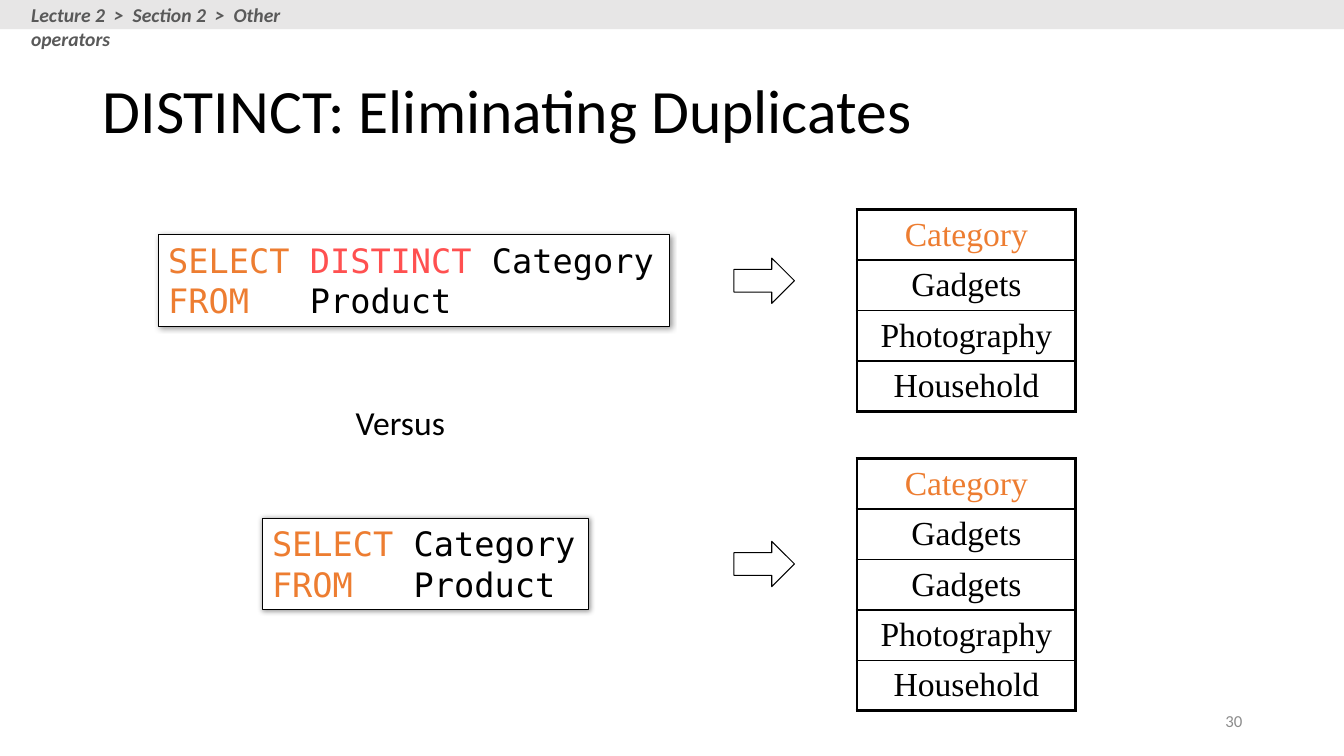
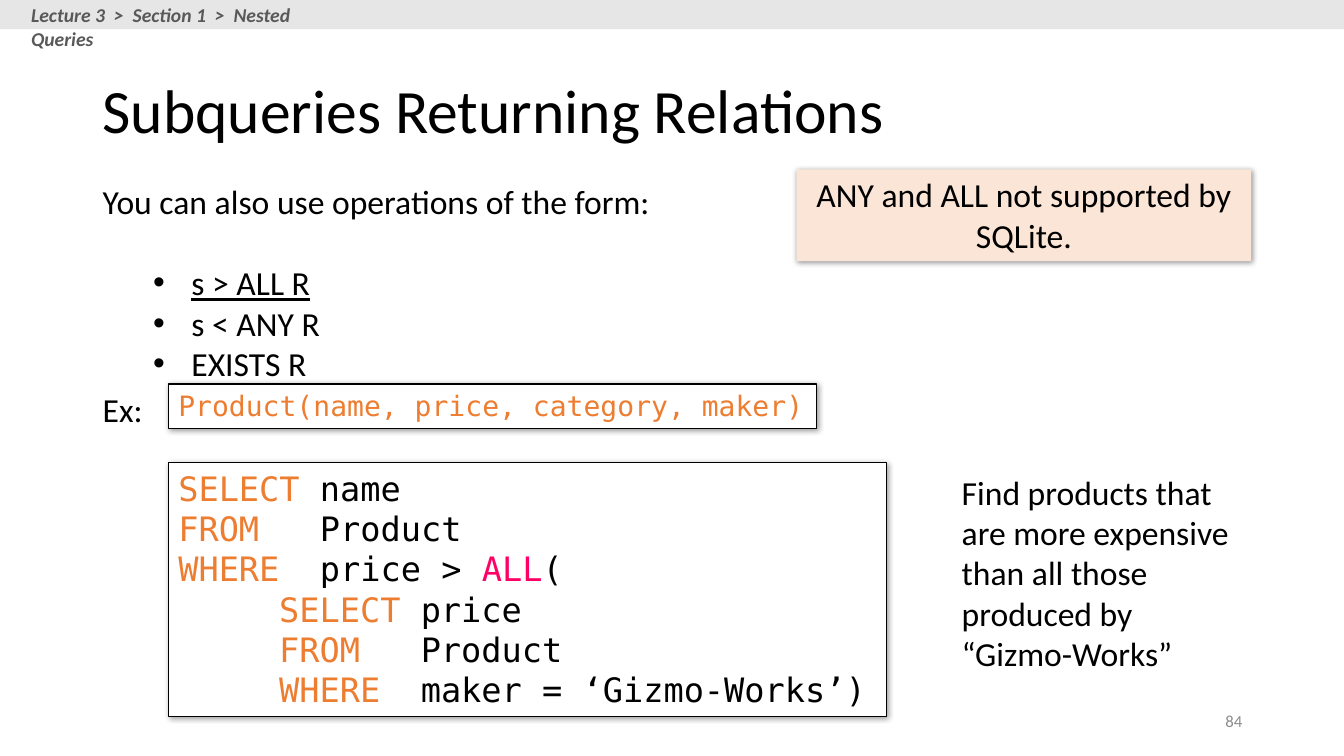
from dataclasses import dataclass

from lxml import etree
from pptx import Presentation
from pptx.dml.color import RGBColor
from pptx.enum import shapes, text
from pptx.oxml import ns
from pptx.util import Inches, Pt


@dataclass(frozen=True)
class Theme:
    ink: str = "000000"
    paper: str = "FFFFFF"
    keyword: str = "ED7D31"
    distinct: str = "FF5050"
    quantifier: str = "FF0066"
    band: str = "E7E6E6"
    crumb: str = "595959"
    number: str = "8C8C8C"
    note: str = "FBE5D6"
    sans: str = "Calibri"
    mono: str = "DejaVu Sans Mono"
    serif: str = "Times New Roman"
    title_size: int = 44
    body_size: int = 24
    schema_size: int = 20
    crumb_size: int = 14
    number_size: int = 12
    thin: float = 0.75
    inner: float = 1
    outer: float = 2.25


T = Theme()
K = T.keyword

DISTINCT = {
    "title": "DISTINCT: Eliminating Duplicates",
    "crumb": "Lecture 2  >  Section 2  >  Other operators",
    "number": "30",
    "versus": "Versus",
    "cases": [
        {
            "code_at": (1.57, 2.33, 5.07, 0.91),
            "code": [[("SELECT ", K), ("DISTINCT ", T.distinct), "Category"],
                     [("FROM   ", K), "Product"]],
            "arrow_top": 2.56,
            "table_top": 2.08,
            "rows": ["Category", "Gadgets", "Photography", "Household"],
        },
        {
            "code_at": (2.6, 5.14, 3.24, 0.91),
            "code": [[("SELECT", K), " Category"],
                     [("FROM   ", K), "Product"]],
            "arrow_top": 5.37,
            "table_top": 4.55,
            "rows": ["Category", "Gadgets", "Gadgets", "Photography", "Household"],
        },
    ],
}

SUBQUERIES = {
    "title": "Subqueries Returning Relations",
    "crumb": "Lecture 3  >  Section 1  >  Nested Queries",
    "number": "84",
    "intro": "You can also use operations of the form:",
    "forms": ["s > ALL R", "s < ANY R", "EXISTS R"],
    "note": "ANY and ALL not supported by SQLite.",
    "example": "Ex:",
    "schema": "Product(name, price, category, maker)",
    "outer": [[("SELECT", K), " name"],
              [("FROM", K), "   Product"],
              [("WHERE  ", K), "price > ", ("ALL", T.quantifier), "("]],
    "inner": [[("SELECT ", K), "price"],
              [("FROM   ", K), "Product"],
              [("WHERE", K), "  maker = ‘Gizmo-Works’)"]],
    "meaning": "Find products that are more expensive than all those "
               "produced by “Gizmo-Works”",
}


def rgb(value):
    return RGBColor.from_string(value)


def add_xml(parent, tag, **attrs):
    return etree.SubElement(parent, ns.qn(tag), {k: str(v) for k, v in attrs.items()})


def style(r, size=T.body_size, font=T.sans, color=T.ink):
    r.font.size = Pt(size)
    r.font.name = font
    r.font.color.rgb = rgb(color)


def write(sp, lines, size=T.body_size, font=T.sans, color=T.ink, wrap=True,
          anchor=text.MSO_ANCHOR.TOP, align=text.PP_ALIGN.LEFT):
    tf = sp.text_frame
    tf.word_wrap = wrap
    tf.vertical_anchor = anchor
    if not wrap:
        tf.auto_size = text.MSO_AUTO_SIZE.SHAPE_TO_FIT_TEXT
    for i, runs in enumerate(lines):
        p = tf.paragraphs[0] if i == 0 else tf.add_paragraph()
        p.alignment = align
        for run in runs:
            words, run_color = (run, color) if isinstance(run, str) else run
            r = p.add_run()
            r.text = words
            style(r, size, font, run_color)
    return tf.paragraphs


def add_text(s, at, words, **options):
    sp = s.shapes.add_textbox(*map(Inches, at))
    return write(sp, [[words]], **options)


def add_box(s, kind, at, fill=None, line=None, shadow=False):
    sp = s.shapes.add_shape(kind, *map(Inches, at))
    sp.shadow.inherit = False
    if fill:
        sp.fill.solid()
        sp.fill.fore_color.rgb = rgb(fill)
    else:
        sp.fill.background()
    if line:
        sp.line.color.rgb = rgb(line)
        sp.line.width = Pt(T.thin)
    else:
        sp.line.fill.background()
    if shadow:
        effects = sp._element.spPr.find(ns.qn("a:effectLst"))
        outer = add_xml(effects, "a:outerShdw", blurRad=Pt(4), dist=Pt(1),
                        dir=45 * 60000, algn="tl", rotWithShape=0)
        color = add_xml(outer, "a:srgbClr", val=T.ink)
        add_xml(color, "a:alpha", val=40000)
    return sp


def add_code(s, at, lines, **options):
    sp = add_box(s, shapes.MSO_SHAPE.RECTANGLE, at, T.paper, T.ink, shadow=True)
    return write(sp, lines, font=T.mono, wrap=False, **options)


def set_borders(cell, widths):
    props = cell._tc.get_or_add_tcPr()
    for position, (side, width) in enumerate(widths.items()):
        line = etree.Element(ns.qn(f"a:{side}"), w=str(Pt(width)))
        fill = add_xml(line, "a:solidFill")
        add_xml(fill, "a:srgbClr", val=T.ink)
        props.insert(position, line)


def add_result(s, top, names):
    left, width, row_height = 8.5, 2.17, 0.5
    frame = s.shapes.add_table(len(names), 1, Inches(left), Inches(top),
                               Inches(width), Inches(row_height * len(names)))
    table = frame.table
    table.first_row = table.horz_banding = False
    for i, name in enumerate(names):
        table.rows[i].height = Inches(row_height)
        cell = table.cell(i, 0)
        cell.fill.background()
        cell.vertical_anchor = text.MSO_ANCHOR.MIDDLE
        p = cell.text_frame.paragraphs[0]
        p.alignment = text.PP_ALIGN.CENTER
        r = p.add_run()
        r.text = name
        style(r, font=T.serif, color=T.ink if i else K)
        set_borders(cell, {
            "lnL": T.outer,
            "lnR": T.outer,
            "lnT": T.outer if i < 2 else T.inner,
            "lnB": T.outer if i in (0, len(names) - 1) else T.inner,
        })


def indent(p, left, first=0.0):
    props = p._p.get_or_add_pPr()
    props.set("marL", str(Inches(left)))
    props.set("indent", str(Inches(first)))
    return props


def add_base(prs, content):
    s = prs.slides.add_slide(prs.slide_layouts[6])
    add_box(s, shapes.MSO_SHAPE.RECTANGLE, (0, 0, 13.33, 0.29), T.band)
    crumb = add_text(s, (0.21, -0.02, 3.3, 0.34), content["crumb"],
                     size=T.crumb_size, color=T.crumb)
    crumb[0].runs[0].font.bold = True
    crumb[0].runs[0].font.italic = True
    title = add_text(s, (0.92, 0.4, 11.5, 1.45), content["title"],
                     size=T.title_size, anchor=text.MSO_ANCHOR.MIDDLE)
    title[0].line_spacing = 0.9
    add_text(s, (9.42, 6.95, 3, 0.4), content["number"], size=T.number_size,
             color=T.number, anchor=text.MSO_ANCHOR.MIDDLE,
             align=text.PP_ALIGN.RIGHT)
    return s


def build_distinct(prs, content):
    s = add_base(prs, content)
    add_text(s, (3.43, 3.94, 1.4, 0.5), content["versus"])
    for case in content["cases"]:
        add_code(s, case["code_at"], case["code"])
        add_box(s, shapes.MSO_SHAPE.RIGHT_ARROW,
                (7.28, case["arrow_top"], 0.6, 0.45), line=T.ink)
        add_result(s, case["table_top"], case["rows"])


def build_subqueries(prs, content):
    s = add_base(prs, content)
    lines = add_code(s, (1.67, 4.59, 7.12, 2.52),
                     content["outer"] + content["inner"])
    for p in lines[len(content["outer"]):]:
        indent(p, 1)
    add_code(s, (1.67, 3.81, 6.43, 0.44), [[content["schema"]]],
             size=T.schema_size, color=K)

    body = s.shapes.add_textbox(*map(Inches, (0.92, 1.75, 5.9, 2.1)))
    forms = write(body, [[content["intro"]]] + [[f] for f in content["forms"]])[1:]
    forms[0].space_before = Pt(29)
    forms[0].runs[0].font.underline = True
    for p in forms:
        props = indent(p, 0.88, -0.38)
        add_xml(props, "a:buFont", typeface="Arial")
        add_xml(props, "a:buChar", char="•")

    add_text(s, (9.44, 4.63, 2.95, 2.12), content["meaning"])
    add_text(s, (0.92, 3.81, 0.75, 0.5), content["example"])
    note = add_box(s, shapes.MSO_SHAPE.RECTANGLE, (7.9, 1.68, 4.51, 0.91),
                   T.note, shadow=True)
    write(note, [[content["note"]]], align=text.PP_ALIGN.CENTER)


def main():
    prs = Presentation()
    prs.slide_width = Inches(13.33)
    prs.slide_height = Inches(7.5)
    build_distinct(prs, DISTINCT)
    build_subqueries(prs, SUBQUERIES)
    prs.save("out.pptx")


if __name__ == "__main__":
    main()
